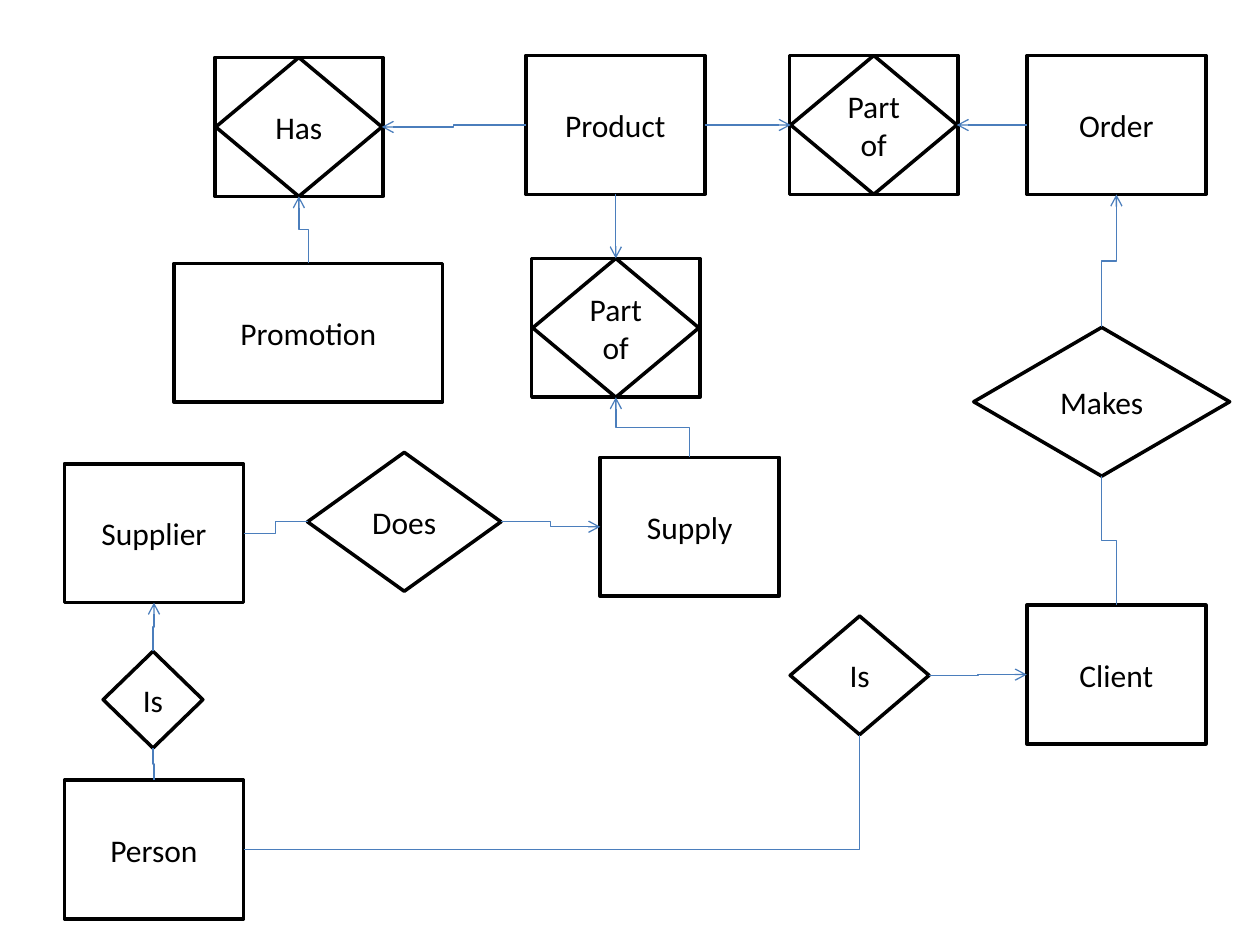
from dataclasses import dataclass

from lxml import etree
from pptx import Presentation
from pptx import util as u
from pptx.dml.color import RGBColor
from pptx.enum import shapes, text
from pptx.oxml.ns import qn


@dataclass(frozen=True)
class Theme:
    paper: RGBColor = RGBColor(0xFF, 0xFF, 0xFF)
    ink: RGBColor = RGBColor(0, 0, 0)
    link: RGBColor = RGBColor(0x4B, 0x7E, 0xBC)
    font: str = "Calibri"
    label_size: u.Pt = u.Pt(18)
    outline: u.Pt = u.Pt(2)
    link_width: u.Pt = u.Pt(0.75)


@dataclass(frozen=True)
class Node:
    """An entity (rectangle) or relationship (diamond), measured in cm."""
    label: str
    left: float
    top: float
    width: float = 3.61
    height: float = 2.8
    diamond: bool = False
    framed: bool = False


@dataclass(frozen=True)
class Link:
    start: str
    start_side: int
    end: str
    end_side: int
    arrow: bool = True


THEME = Theme()
TOP, LEFT, BOTTOM, RIGHT = range(4)  # connection sites
LINKED_WIDTH = 3.35  # diamond inside a frame
FRAME_MARGIN = 0.02

NODES = {
    # Entities
    "promotion": Node("Promotion", 3.51, 5.31, width=5.41),
    "product": Node("Product", 10.6, 1.12),
    "order": Node("Order", 20.7, 1.12),
    "client": Node("Client", 20.7, 12.2),
    "supplier": Node("Supplier", 1.3, 9.35),
    "person": Node("Person", 1.3, 15.73),
    "supply": Node("Supply", 12.1, 9.22),
    # Relationships
    "is client": Node("Is", 15.93, 12.42, 2.8, 2.39, diamond=True),
    "is supplier": Node("Is", 2.08, 13.13, 2.01, 1.95, diamond=True),
    "makes": Node("Makes", 19.63, 6.6, 5.16, 3, diamond=True),
    "does": Node("Does", 6.2, 9.12, 3.9, diamond=True),
    # Framed relationships
    "part of order": Node("Part of", 15.94, 1.12, LINKED_WIDTH, diamond=True, framed=True),
    "part of supply": Node("Part of", 10.74, 5.21, LINKED_WIDTH, diamond=True, framed=True),
    "has": Node("Has", 4.35, 1.16, LINKED_WIDTH, diamond=True, framed=True),
}

LINKS = [
    Link("person", RIGHT, "is client", BOTTOM, arrow=False),
    Link("is client", RIGHT, "client", LEFT),
    Link("client", TOP, "makes", BOTTOM, arrow=False),
    Link("makes", TOP, "order", BOTTOM),
    Link("order", LEFT, "part of order", RIGHT),
    Link("product", RIGHT, "part of order", LEFT),
    Link("product", BOTTOM, "part of supply", TOP),
    Link("supply", TOP, "part of supply", BOTTOM),
    Link("promotion", TOP, "has", BOTTOM),
    Link("product", LEFT, "has", RIGHT),
    Link("person", TOP, "is supplier", BOTTOM, arrow=False),
    Link("is supplier", TOP, "supplier", BOTTOM),
    Link("supplier", RIGHT, "does", LEFT, arrow=False),
    Link("does", RIGHT, "supply", LEFT),
]


def draw_outline(slide, kind, left: float, top: float, width: float, height: float):
    outline = slide.shapes.add_shape(kind, u.Cm(left), u.Cm(top), u.Cm(width), u.Cm(height))
    outline.shadow.inherit = False
    outline.fill.solid()
    outline.fill.fore_color.rgb = THEME.paper
    outline.line.color.rgb = THEME.ink
    outline.line.width = THEME.outline
    return outline


def draw_node(slide, node: Node):
    rectangle = shapes.MSO_SHAPE.RECTANGLE
    if node.framed:
        draw_outline(slide, rectangle, node.left - FRAME_MARGIN, node.top,
                     node.width + 2 * FRAME_MARGIN, node.height)
    kind = shapes.MSO_SHAPE.FLOWCHART_DECISION if node.diamond else rectangle
    body = draw_outline(slide, kind, node.left, node.top, node.width, node.height)
    frame = body.text_frame
    frame.word_wrap = True
    frame.vertical_anchor = text.MSO_ANCHOR.MIDDLE
    paragraph = frame.paragraphs[0]
    paragraph.alignment = text.PP_ALIGN.CENTER
    label = paragraph.add_run()
    label.text = node.label
    label.font.name = THEME.font
    label.font.size = THEME.label_size
    label.font.color.rgb = THEME.ink
    return body


def turn_upright(connector) -> None:
    """Rotate an elbow so that it leaves and arrives vertically."""
    dx = connector.end_x - connector.begin_x
    dy = connector.end_y - connector.begin_y
    center_x = (connector.begin_x + connector.end_x) // 2
    center_y = (connector.begin_y + connector.end_y) // 2
    connector.width, connector.height = abs(dy), abs(dx)
    connector.left = center_x - abs(dy) // 2
    connector.top = center_y - abs(dx) // 2
    xfrm = connector._element.spPr.find(qn("a:xfrm"))
    xfrm.set("rot", str((90 if dy > 0 else 270) * 60000))
    xfrm.set("flipH", "0")
    xfrm.set("flipV", "1" if dx * dy > 0 else "0")


def draw_link(slide, link: Link, bodies: dict) -> None:
    connector = slide.shapes.add_connector(shapes.MSO_CONNECTOR.ELBOW, 0, 0, 0, 0)
    connector.begin_connect(bodies[link.start], link.start_side)
    connector.end_connect(bodies[link.end], link.end_side)
    connector.line.color.rgb = THEME.link
    connector.line.width = THEME.link_width
    properties = connector._element.spPr

    # Route: a single corner, or two corners with parallel ends
    vertical = (TOP, BOTTOM)
    if (link.start_side in vertical) != (link.end_side in vertical):
        properties.find(qn("a:prstGeom")).set("prst", "bentConnector2")
    elif link.start_side in vertical:
        turn_upright(connector)

    if link.arrow:
        etree.SubElement(properties.find(qn("a:ln")), qn("a:tailEnd"), type="arrow")
    etree.SubElement(properties, qn("a:effectLst"))


def main() -> None:
    deck = Presentation()
    deck.slide_width, deck.slide_height = u.Cm(25.4), u.Cm(19.05)
    slide = deck.slides.add_slide(deck.slide_layouts[6])
    bodies = {key: draw_node(slide, node) for key, node in NODES.items()}
    for link in LINKS:
        draw_link(slide, link, bodies)
    deck.save("out.pptx")


if __name__ == "__main__":
    main()
